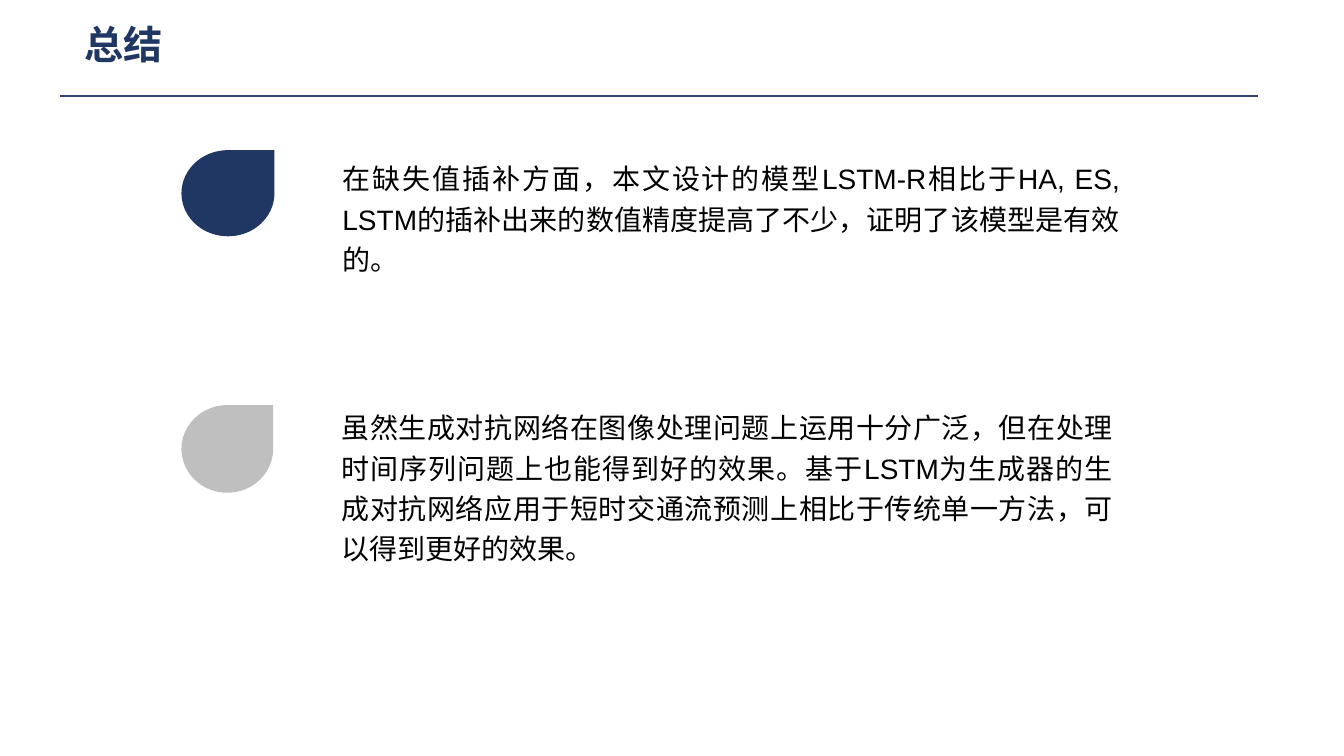
"""Build the summary slide with two teardrop-marked conclusions."""
from dataclasses import dataclass

from lxml.etree import SubElement
from pptx import Presentation
from pptx.dml.color import RGBColor as Rgb
from pptx.enum.shapes import MSO_CONNECTOR as Connector, MSO_SHAPE as Shape
from pptx.enum.text import PP_ALIGN as Align
from pptx.oxml.ns import qn
from pptx.util import Pt

TITLE = "总结"
CONCLUSIONS = [
    {
        "text": "在缺失值插补方面，本文设计的模型LSTM-R相比于HA, ES, LSTM的插补出来的数值精度提高了不少，证明了该模型是有效的。",
        "color": "1F3762",
        "marker": (129.6, 107.3, 66.5, 61.5),
        "box": (237.5, 107.3, 569.5, 94.3),
    },
    {
        "text": "虽然生成对抗网络在图像处理问题上运用十分广泛，但在处理时间序列问题上也能得到好的效果。基于LSTM为生成器的生成对抗网络应用于短时交通流预测上相比于传统单一方法，可以得到更好的效果。",
        "color": "BFBFBF",
        "marker": (129.6, 289.4, 65.5, 62.6),
        "box": (236.9, 285.1, 565.2, 123.8),
    },
]


@dataclass(frozen=True)
class Theme:
    latin: str = "Arial"
    chinese: str = "Noto Sans CJK SC"
    title_color: str = "1F3762"
    rule_color: str = "324274"
    body_color: str = "000000"
    title_size: float = 28
    body_size: float = 20
    body_spacing: float = 1.2
    rule_width: float = 1.75


THEME = Theme()


def points(lengths):
    return [Pt(length) for length in lengths]


def add_text(slide, box, text, size, color, bold=False):
    frame = slide.shapes.add_textbox(*points(box)).text_frame
    frame.word_wrap = True
    paragraph = frame.paragraphs[0]
    run = paragraph.add_run()
    run.text = text
    run.font.size = Pt(size)
    run.font.bold = bold
    run.font.color.rgb = Rgb.from_string(color)
    run.font.name = THEME.latin
    properties = run.font._element
    properties.set("lang", "zh-CN")
    SubElement(properties, qn("a:ea")).set("typeface", THEME.chinese)
    return paragraph


def add_rule(slide, left, right, y):
    rule = slide.shapes.add_connector(Connector.STRAIGHT, *points((left, y, right, y)))
    rule.line.color.rgb = Rgb.from_string(THEME.rule_color)
    rule.line.width = Pt(THEME.rule_width)
    SubElement(rule._element.spPr, qn("a:effectLst"))


def add_conclusion(slide, conclusion):
    marker = slide.shapes.add_shape(Shape.TEAR, *points(conclusion["marker"]))
    marker.shadow.inherit = False
    marker.fill.solid()
    marker.fill.fore_color.rgb = Rgb.from_string(conclusion["color"])
    marker.line.fill.background()
    paragraph = add_text(slide, conclusion["box"], conclusion["text"],
                         THEME.body_size, THEME.body_color)
    paragraph.alignment = Align.JUSTIFY
    paragraph.line_spacing = THEME.body_spacing


def main():
    deck = Presentation()
    deck.slide_width, deck.slide_height = points((960, 540))
    slide = deck.slides.add_slide(deck.slide_layouts[6])
    add_rule(slide, 43.2, 898.6, 68.6)
    add_text(slide, (53.3, 10.8, 844.6, 41), TITLE,
             THEME.title_size, THEME.title_color, bold=True)
    for conclusion in CONCLUSIONS:
        add_conclusion(slide, conclusion)
    deck.save("out.pptx")


if __name__ == "__main__":
    main()
